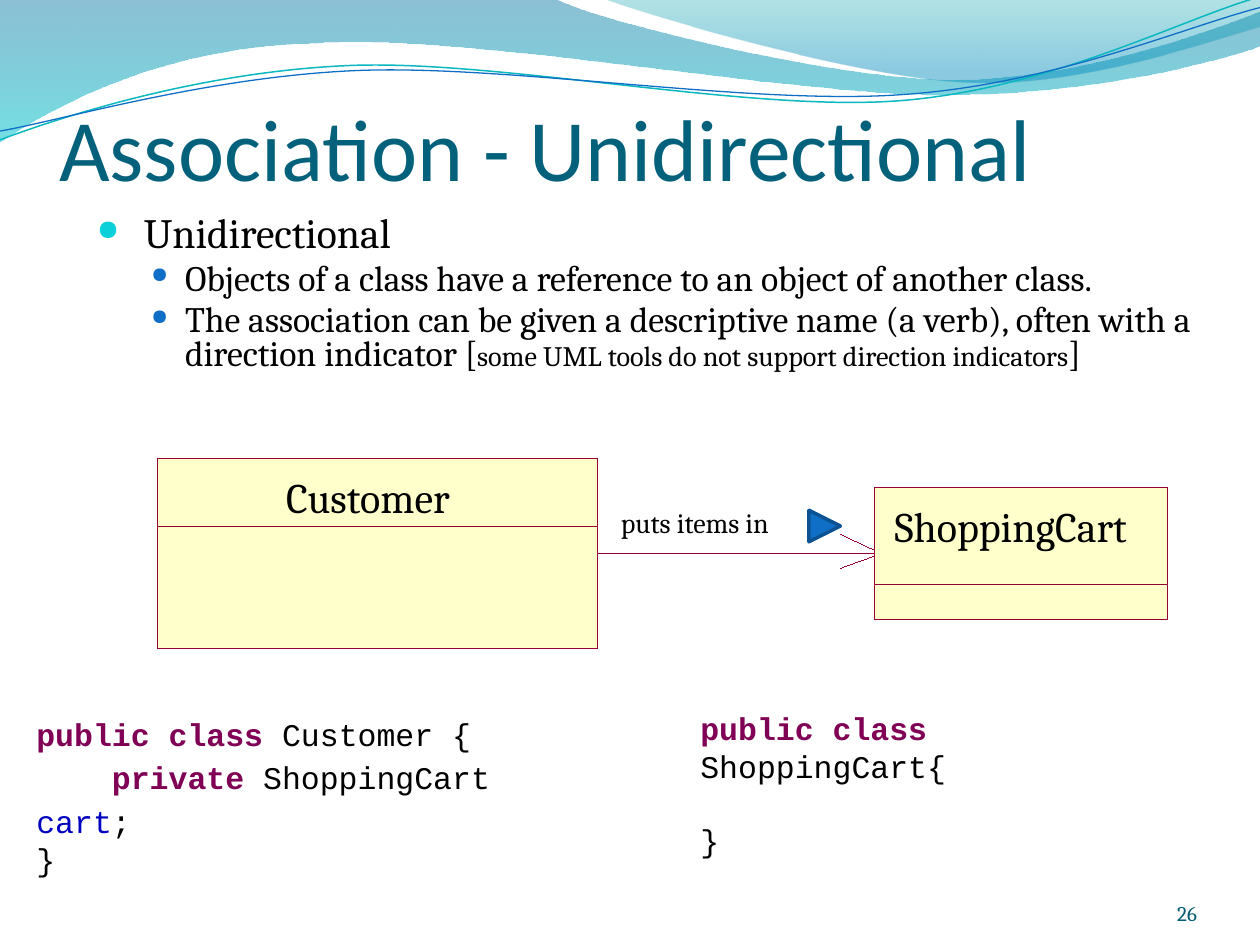
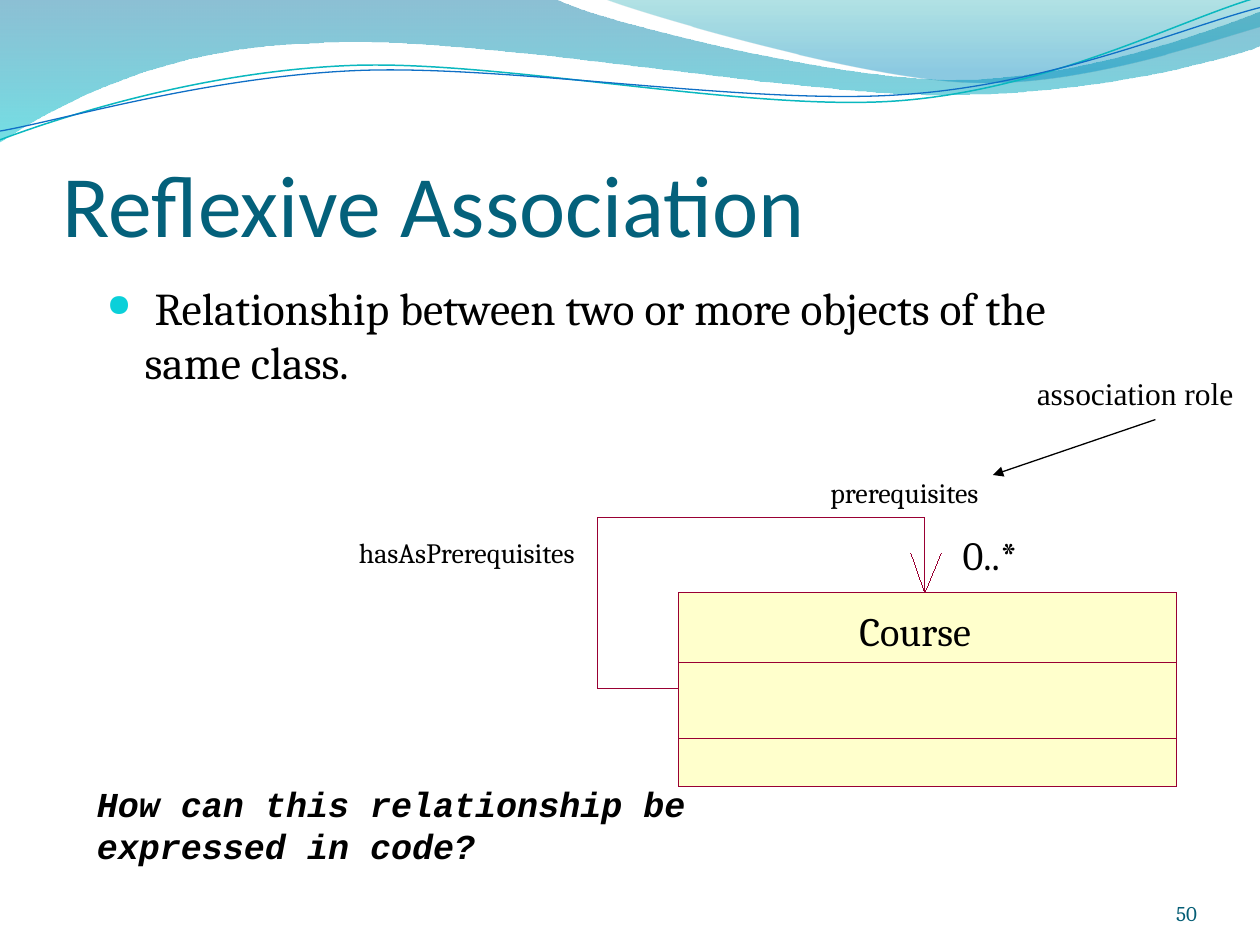
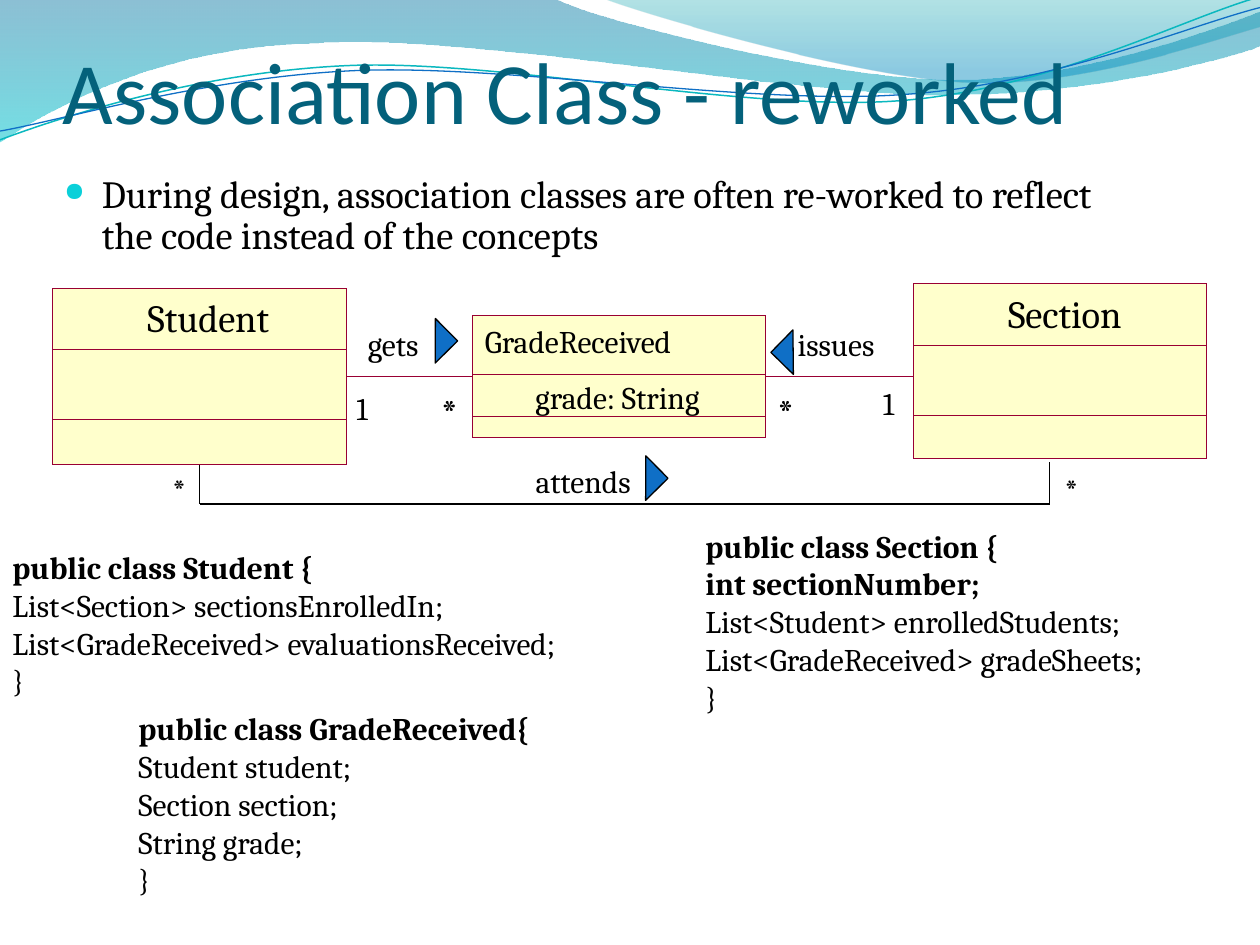
"""Build three slides on class associations, placed on a grid of 100 columns by 75 rows."""
import dataclasses
import math

import lxml.etree
import pptx
import pptx.dml.color
import pptx.enum.shapes
import pptx.enum.text
import pptx.oxml.ns
import pptx.util

SHAPES = pptx.enum.shapes.MSO_SHAPE
SLIDE_WIDTH = pptx.util.Inches(10)
SLIDE_HEIGHT = pptx.util.Inches(7.5)
CELL = SLIDE_WIDTH / 100
DEFAULT_INSETS = (1, 0.5, 1, 0.5)
NO_INSETS = (0, 0, 0, 0)
WAVE_TILT = 2.7


@dataclasses.dataclass(frozen=True)
class Theme:
    """Colours, fonts and type sizes shared by the slides."""
    text: str = "000000"
    title: str = "04617B"
    number: str = "045D75"
    bullet: str = "0BD0D9"
    accent: str = "0F6FC6"
    accent_edge: str = "0B5292"
    wave_line: str = "0AB8BF"
    class_fill: str = "FFFFCC"
    class_line: str = "990033"
    keyword: str = "7F0055"
    field: str = "0000C0"
    body_font: str = "Cambria"
    title_font: str = "Calibri"
    code_font: str = "Courier New"
    note_font: str = "Times New Roman"
    title_size: float = 50
    large_size: float = 24
    class_size: float = 23
    name_size: float = 22
    question_size: float = 20
    text_size: float = 18
    label_size: float = 16
    number_size: float = 12


THEME = Theme()


@dataclasses.dataclass
class Paragraph:
    """A list of runs, each a string or a (string, format) pair, with paragraph settings."""
    runs: list
    level: int = 0
    margin: float = 0
    indent: float = 0
    spacing: float = 1
    before: float = 0
    bullet: str = ""
    bullet_size: int = 68


WAVES = [
    ([[(0, 0)], [(44, -0.1)],
      [(47.6, 1.7), (66.4, 6.3), (75.8, 6.3)],
      [(85.3, 6.3), (95.8, 2.6), (100, 0.9)], [(100.1, 3.6)],
      [(98.3, 4.4), (87, 7.6), (74.6, 7.5)],
      [(62.2, 7.5), (38.2, 2.8), (25.7, 3.4)],
      [(12.9, 3.6), (4.6, 8.3), (-0.1, 11.3)], [(0, 0)]],
     [(0, "0074A1", 45), (1, "00C6CF", 55)]),
    ([[(47.9, -0.1)],
      [(50.9, 1.1), (68.2, 6.2), (76.9, 6.5)],
      [(85.6, 6.9), (96.1, 3.2), (100, 2.1)], [(100, 0)], [(47.9, -0.1)]],
     [(0, "00A1A9", 30), (0.8, "008BBF", 45)]),
]
WAVE_LINES = [
    ([[(0, 11.1)],
      [(4.8, 9.3), (15.8, 5.7), (27.7, 5.2)],
      [(39.5, 4.7), (59.3, 8.9), (71.3, 8)],
      [(83.3, 7.1), (93.8, 1.5), (99.8, -0.2)]], (49.9, 5.75), THEME.wave_line, 0.85),
    ([[(0, 10.4)],
      [(4.7, 9.6), (16.4, 6.1), (28.3, 5.6)],
      [(40.3, 5.1), (59.7, 8.4), (71.7, 7.5)],
      [(83.6, 6.7), (94.1, 2.1), (100, 0.6)]], (49.95, 5.9), THEME.accent, 0.75),
]


def grid(*values):
    """Turn grid units into lengths."""
    return [pptx.util.Emu(round(value * CELL)) for value in values]


def rgb(code):
    """Return the colour for a hex code."""
    return pptx.dml.color.RGBColor.from_string(code)


def add_xml(parent, tag, **attributes):
    """Append a drawing element with attributes."""
    child = lxml.etree.SubElement(parent, pptx.oxml.ns.qn(tag))
    for name, value in attributes.items():
        child.set(name, str(value))
    return child


def set_line(shape, color, width):
    """Set a line's colour and width, writing a zero width for a hairline."""
    shape.line.color.rgb = rgb(color)
    outline = shape.element.spPr.find(pptx.oxml.ns.qn("a:ln"))
    outline.set("w", str(int(pptx.util.Pt(width))))
    return outline


def paint(shape, fill=None, line=None, width=0):
    """Set a shape's fill and outline, and take off its shadow."""
    shape.shadow.inherit = False
    if fill:
        shape.fill.solid()
        shape.fill.fore_color.rgb = rgb(fill)
    else:
        shape.fill.background()
    if line:
        set_line(shape, line, width)
    else:
        shape.line.fill.background()


def format_paragraph(paragraph, settings, size, align):
    """Apply spacing, indents and bullet to a paragraph."""
    paragraph.level = settings.level
    paragraph.alignment = align
    paragraph.line_spacing = settings.spacing
    paragraph.space_before = pptx.util.Pt(settings.before)
    properties = paragraph._p.get_or_add_pPr()
    margin, indent = grid(settings.margin, settings.indent)
    properties.set("marL", str(margin))
    properties.set("indent", str(indent))
    if settings.bullet:
        paragraph.space_before = pptx.util.Pt(size * 0.2)
        add_xml(add_xml(properties, "a:buClr"), "a:srgbClr", val=settings.bullet)
        add_xml(properties, "a:buSzPct", val=settings.bullet_size * 1000)
        add_xml(properties, "a:buChar", char="●")


def add_run(paragraph, text, font=THEME.body_font, size=THEME.text_size,
            color=THEME.text, bold=False, italic=False):
    """Add a formatted run."""
    run = paragraph.add_run()
    run.text = text
    run.font.name = font
    run.font.size = pptx.util.Pt(size)
    run.font.color.rgb = rgb(color)
    run.font.bold = bold
    run.font.italic = italic


def write_text(frame, content, insets=DEFAULT_INSETS,
               anchor=pptx.enum.text.MSO_ANCHOR.TOP, align=pptx.enum.text.PP_ALIGN.LEFT,
               **run_format):
    """Fill a text frame with a string or a list of paragraphs."""
    frame.vertical_anchor = anchor
    (frame.margin_left, frame.margin_top,
     frame.margin_right, frame.margin_bottom) = grid(*insets)
    paragraphs = [Paragraph([content])] if isinstance(content, str) else content
    for index, settings in enumerate(paragraphs):
        paragraph = frame.add_paragraph() if index else frame.paragraphs[0]
        runs = [(run, {}) if isinstance(run, str) else run for run in settings.runs]
        size = {**run_format, **runs[0][1]}.get("size", THEME.text_size)
        format_paragraph(paragraph, settings, size, align)
        for text, changes in runs:
            add_run(paragraph, text, **{**run_format, **changes})


def add_text(slide, box, content, wrap=True, grow=True, **text_format):
    """Add a text box."""
    frame = slide.shapes.add_textbox(*grid(*box)).text_frame
    frame.word_wrap = wrap
    if grow:
        frame.auto_size = pptx.enum.text.MSO_AUTO_SIZE.SHAPE_TO_FIT_TEXT
    write_text(frame, content, **text_format)


def add_label(slide, left, top, width, text, size=THEME.text_size):
    """Add a one-line label without insets."""
    add_text(slide, (left, top, width, size / 6), text, wrap=False,
             insets=NO_INSETS, size=size)


def add_title(slide, text, left, bottom):
    """Add the slide title, standing on its bottom edge."""
    add_text(slide, (left, bottom - 12.5, 90, 12.5), text, grow=False,
             insets=(0, 0.5, 0, 0), anchor=pptx.enum.text.MSO_ANCHOR.BOTTOM,
             font=THEME.title_font, size=THEME.title_size, color=THEME.title)


def add_number(slide, number):
    """Add the slide number at the bottom right."""
    add_text(slide, (86.7, 69.5, 8.3, 4), str(number), grow=False, insets=NO_INSETS,
             anchor=pptx.enum.text.MSO_ANCHOR.BOTTOM, align=pptx.enum.text.PP_ALIGN.RIGHT,
             size=THEME.number_size, color=THEME.number)


def bullet(*runs, **settings):
    """Return a first-level bullet paragraph."""
    return Paragraph(list(runs), margin=3, indent=-3, bullet=THEME.bullet, **settings)


def sub_bullet(*runs, **settings):
    """Return a second-level bullet paragraph."""
    return Paragraph(list(runs), level=1, margin=7, indent=-2.7, bullet=THEME.accent,
                     bullet_size=61, **settings)


def add_code(slide, box, bold_lines, plain_lines):
    """Add a class listing whose first lines are bold."""
    paragraphs = [Paragraph([(line, {"bold": True})]) for line in bold_lines]
    paragraphs += [Paragraph([line]) for line in plain_lines]
    add_text(slide, box, paragraphs)


def add_box(slide, box, fill=None):
    """Add a rectangle with the thin class outline."""
    rectangle = slide.shapes.add_shape(SHAPES.RECTANGLE, *grid(*box))
    paint(rectangle, fill, THEME.class_line)
    return rectangle


def add_class(slide, box, name, name_box, size, dividers):
    """Add a class box with its name and compartments that reach the bottom edge."""
    left, top, width, height = box
    outer = add_box(slide, box, THEME.class_fill)
    add_label(slide, *name_box, name, size)
    for divider in dividers:
        add_box(slide, (left, divider, width, top + height - divider))
    return outer


def add_line(slide, start, end, color=THEME.class_line, width=0, arrow=False,
             begin=None, finish=None):
    """Add a straight connector, joined to (shape, side) pairs where given."""
    connector = slide.shapes.add_connector(
        pptx.enum.shapes.MSO_CONNECTOR.STRAIGHT, *grid(*start, *end))
    outline = set_line(connector, color, width)
    if arrow:
        add_xml(outline, "a:tailEnd", type="triangle")
    add_xml(connector.element.spPr, "a:effectLst")
    if begin:
        connector.begin_connect(*begin)
    if finish:
        connector.end_connect(*finish)


def add_pointer(slide, kind, left, top, rotation, line=THEME.text, width=0.75):
    """Add a small triangle showing the reading direction."""
    pointer = slide.shapes.add_shape(kind, *grid(left, top, 2.5, 2.5))
    pointer.rotation = rotation
    paint(pointer, THEME.accent, line, width)


def add_outline(slide, segments, close=False):
    """Add a freeform of straight (one point) and cubic (three points) segments."""
    start, *rest = [grid(*point) for segment in segments for point in segment]
    builder = slide.shapes.build_freeform(*start)
    builder.add_line_segments(rest, close=close)
    shape = builder.convert_to_shape()
    lines = iter(list(shape.element.spPr.iter(pptx.oxml.ns.qn("a:lnTo"))))
    for segment in segments[1:]:
        first, *others = [next(lines) for _ in segment]
        if others:
            first.tag = pptx.oxml.ns.qn("a:cubicBezTo")
            for other in others:
                first.append(other[0])
                other.getparent().remove(other)
    return shape


def turn(point, center, degrees):
    """Turn a point clockwise about a center."""
    angle = math.radians(degrees)
    x, y = point[0] - center[0], point[1] - center[1]
    return (center[0] + x * math.cos(angle) - y * math.sin(angle),
            center[1] + x * math.sin(angle) + y * math.cos(angle))


def add_waves(slide):
    """Add the band of translucent waves and thin lines at the top."""
    for segments, stops in WAVES:
        wave = add_outline(slide, segments, close=True)
        paint(wave)
        wave.fill.gradient()
        wave.fill.gradient_angle = 270
        for stop, (position, color, _) in zip(wave.fill.gradient_stops, stops):
            stop.position = position
            stop.color.rgb = rgb(color)
        colors = wave.element.spPr.iter(pptx.oxml.ns.qn("a:srgbClr"))
        for color, (_, _, opacity) in zip(list(colors), stops):
            add_xml(color, "a:alpha", val=opacity * 1000)
    for segments, center, color, width in WAVE_LINES:
        level = [[turn(point, center, WAVE_TILT) for point in segment]
                 for segment in segments]
        curve = add_outline(slide, level)
        curve.rotation = 360 - WAVE_TILT
        paint(curve, line=color, width=width)


def add_slide(presentation):
    """Add a blank slide with the waves."""
    slide = presentation.slides.add_slide(presentation.slide_layouts[6])
    add_waves(slide)
    return slide


def build_unidirectional(slide):
    """Fill the slide on unidirectional association."""
    add_title(slide, "Association - Unidirectional", 4.7, 15.8)
    add_text(slide, (6.7, 16.7, 89.2, 18.3), [
        bullet((" Unidirectional", {"size": 23.8}), spacing=0.8),
        sub_bullet("Objects of a class have a reference to an object of another class.",
                   spacing=0.8),
        sub_bullet("The association can be given a descriptive name (a verb), "
                   "often with a direction indicator [",
                   ("some UML tools do not support direction indicators", {"size": 16.1}),
                   "]", spacing=0.8),
    ], grow=False, size=20.4)
    keyword = {"color": THEME.keyword, "bold": True}
    add_text(slide, (1.9, 55.8, 45.6, 11), [
        Paragraph([("public class", keyword), " Customer {"], spacing=1.15),
        Paragraph([("private", keyword), " ShoppingCart", (" cart", {"color": THEME.field}),
                   ";"], indent=6, spacing=1.15),
        Paragraph(["}"]),
    ], font=THEME.code_font)
    add_text(slide, (54.6, 55.8, 38.1, 10.1), [
        Paragraph([("public class ", keyword), "ShoppingCart{"]),
        Paragraph(["}"], before=20.4),
    ], font=THEME.code_font)
    for end in (45.1, 42.4):
        add_line(slide, (69.5, 43.9 + (end - 43.75) / 7), (66.7, end))
    customer = add_class(slide, (12.5, 36.4, 34.9, 15.1), "Customer", (22.7, 37.4, 14.5),
                         THEME.large_size, [41.8])
    cart = add_class(slide, (69.4, 38.7, 23.3, 10.5), "ShoppingCart", (71, 39.7, 20.2),
                     THEME.large_size, [46.4])
    add_line(slide, (47.4, 43.9), (69.4, 43.9), begin=(customer, 3), finish=(cart, 1))
    add_text(slide, (48.3, 39.6, 14.6, 3.7), "puts items in", wrap=False,
             size=THEME.label_size)
    add_pointer(slide, SHAPES.ISOSCELES_TRIANGLE, 64.2, 40.5, 90, THEME.accent_edge, 2)
    add_number(slide, 26)


def build_reflexive(slide):
    """Fill the slide on reflexive association."""
    add_title(slide, "Reflexive Association", 5, 20.2)
    add_text(slide, (7.5, 21.7, 85, 13.3), [
        bullet(" Relationship between two or more objects of the same class."),
    ], grow=False, size=26)
    add_class(slide, (53.85, 47.05, 39.5, 15.4), "Course", (68.2, 48.1, 10.3),
              THEME.class_size, [52.6, 58.6])
    for corners in ([(53.1, 41.05), (73.4, 41.05), (73.4, 47.05)],
                    [(53.1, 41.05), (47.4, 41.05), (47.4, 54.65), (53.85, 54.65)]):
        paint(add_outline(slide, [[corner] for corner in corners]), line=THEME.class_line)
    for barb in (74.7, 72.3):
        add_line(slide, (73.4, 47.05), (barb, 43.9))
    add_label(slide, 76.4, 42.1, 4.8, "0..*", THEME.class_size)
    add_label(slide, 65.9, 37.7, 12.5, "prerequisites", THEME.label_size)
    add_text(slide, (81.3, 29.2, 17.8, 4), "association role", wrap=False,
             font=THEME.note_font)
    add_line(slide, (91.7, 33.3), (78.8, 37.7), THEME.text, 0.75, arrow=True)
    add_text(slide, (6.7, 61.6, 59.2, 7.7), "How can this relationship be expressed in code?",
             font=THEME.code_font, size=THEME.question_size, bold=True, italic=True)
    add_number(slide, 50)
    add_text(slide, (27.5, 42, 29.2, 3.7), "hasAsPrerequisites", size=THEME.label_size)


def build_association_class(slide):
    """Fill the slide on the reworked association class."""
    add_title(slide, "Association Class - reworked", 5, 11.3)
    add_text(slide, (4.1, 13.4, 86.9, 5.8), [
        bullet("During design, association classes are often re-worked to reflect "
               "the code instead of the concepts", spacing=0.9),
    ], grow=False, size=THEME.name_size)
    add_class(slide, (72.5, 22.5, 23.3, 13.9), "Section", (80, 23, 10.2),
              THEME.name_size, [27.4, 33])
    grade = add_box(slide, (37.5, 25.05, 23.3, 9.7), THEME.class_fill)
    write_text(grade.text_frame, "GradeReceived")
    add_box(slide, (37.5, 29.7, 23.3, 3.4), THEME.class_fill)
    student = add_class(slide, (4.2, 22.9, 23.3, 14), "Student", (11.7, 23.3, 10.5),
                        THEME.name_size, [27.7, 33.3])
    add_line(slide, (72.5, 29.9), (60.8, 29.9), finish=(grade, 3))
    add_line(slide, (37.5, 29.9), (27.5, 29.9), begin=(grade, 1), finish=(student, 3))
    add_line(slide, (15.85, 36.9), (15.85, 40), THEME.text, 0.75, begin=(student, 2))
    add_line(slide, (15.85, 40), (83.3, 40), THEME.text, 0.75)
    add_line(slide, (83.3, 40), (83.3, 36.7), THEME.text, 0.75)
    for left in (35, 61.7):
        add_label(slide, left, 30.8, 1.2, "*", THEME.name_size)
    for left, top, width, text in [(29.2, 25.8, 4.7, "gets"), (63.3, 25.8, 7.1, "issues"),
                                   (42.5, 30, 14.3, "grade: String"),
                                   (42.5, 36.7, 8.2, "attends")]:
        add_label(slide, left, top, width, text)
    for left, top, rotation in [(33.3, 25.8, 225.2), (61.7, 26.7, 44.4), (50, 36.7, 225.2)]:
        add_pointer(slide, SHAPES.RIGHT_TRIANGLE, left, top, rotation)
    for left, top, width, text in [(27.3, 30.4, 3.4, "1"), (69.1, 30, 3.4, "1"),
                                   (83.5, 36.8, 3.1, "*"), (12.7, 36.8, 3.1, "*")]:
        add_text(slide, (left, top, width, 4), text, wrap=False)
    add_code(slide, (10, 55.8, 38.8, 16.2), ["public class GradeReceived{"],
             ["Student student;", "Section section;", "String grade;", "}"])
    add_code(slide, (55, 41.3, 45, 16.2), ["public class Section {", "int sectionNumber;"],
             ["List<Student> enrolledStudents;", "List<GradeReceived> gradeSheets;", "}"])
    add_code(slide, (0, 43, 53, 13.1), ["public class Student {"],
             ["List<Section> sectionsEnrolledIn;",
              "List<GradeReceived> evaluationsReceived;", "}"])


def main():
    """Build and save the presentation."""
    presentation = pptx.Presentation()
    presentation.slide_width = SLIDE_WIDTH
    presentation.slide_height = SLIDE_HEIGHT
    for build in (build_unidirectional, build_reflexive, build_association_class):
        build(add_slide(presentation))
    presentation.save("out.pptx")


if __name__ == "__main__":
    main()
